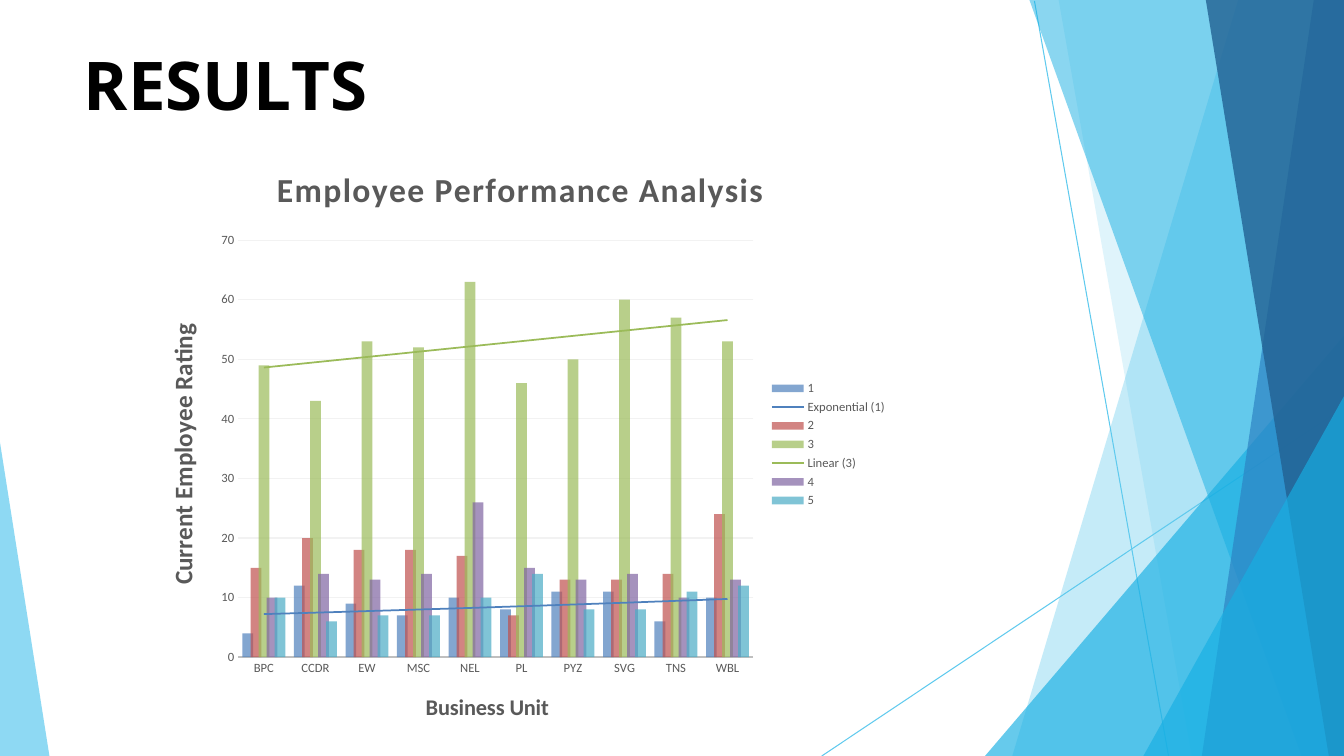
"""Build the results slide with its faceted backdrop and performance chart."""
import dataclasses
import typing

import lxml.etree
import pptx
import pptx.chart.data
import pptx.dml.color
import pptx.enum.chart
import pptx.enum.shapes
import pptx.enum.text
import pptx.oxml
import pptx.oxml.ns
import pptx.util

Inches = pptx.util.Inches
Pt = pptx.util.Pt
qn = pptx.oxml.ns.qn

COLOURS = {
    "black": "000000", "white": "FFFFFF", "text": "595959",
    "axis": "BFBFBF", "grid": "F2F2F2",
    "sky": "5FCAEE", "cyan": "17AFE3", "blue": "2D83C3", "navy": "226192",
    "bar blue": "4F81BD", "bar red": "C0504D", "bar green": "9BBB59",
    "bar purple": "8064A2", "bar teal": "4BACC6",
}
WIDTH, HEIGHT = 13.33, 7.5
UNITS = ("BPC", "CCDR", "EW", "MSC", "NEL", "PL", "PYZ", "SVG", "TNS", "WBL")
PLOT_AREA = {"x": 0.126, "y": 0.161, "w": 0.683, "h": 0.692}
Point = tuple[float, float]


@dataclasses.dataclass(frozen=True)
class Facet:
    """A translucent polygon of the backdrop."""
    colour: str
    opacity: int
    points: tuple[Point, ...]


@dataclasses.dataclass(frozen=True)
class Rating:
    """One rating's employee counts by business unit."""
    name: str
    colour: str
    counts: tuple[int, ...]
    trend: str = ""


@dataclasses.dataclass(frozen=True)
class Span:
    """A piece of the title with its letter spacing in points."""
    text: str
    spacing: float = 0


def right_facet(colour: str, opacity: int, top: Point, foot: float) -> Facet:
    """Describe a facet that fills the slide's bottom right corner."""
    corners = ((WIDTH, 0), top) if top[1] == 0 else (top,)
    return Facet(colour, opacity, (*corners, (foot, HEIGHT), (WIDTH, HEIGHT)))


LINES = (((10.26, 0.01), (11.59, HEIGHT)), ((WIDTH, 4.04), (8.15, HEIGHT)))
FACETS = (
    right_facet("sky", 36, (12.28, 0), 10.04),
    right_facet("sky", 20, (10.5, 0), 11.82),
    right_facet("cyan", 66, (WIDTH, 3.33), 9.77),
    right_facet("cyan", 50, (10.21, 0), 12.91),
    right_facet("blue", 70, (13.03, 0), 11.92),
    right_facet("navy", 80, (11.96, 0), 13.18),
    right_facet("cyan", 66, (WIDTH, 3.93), 11.34),
    Facet("sky", 70, ((0, 4.39), (0, HEIGHT), (0.49, HEIGHT))),
)
RATINGS = (
    Rating("1", "bar blue", (4, 12, 9, 7, 10, 8, 11, 11, 6, 10), "exp"),
    Rating("2", "bar red", (15, 20, 18, 18, 17, 7, 13, 13, 14, 24)),
    Rating("3", "bar green", (49, 43, 53, 52, 63, 46, 50, 60, 57, 53), "linear"),
    Rating("4", "bar purple", (10, 14, 13, 14, 26, 15, 13, 14, 10, 13)),
    Rating("5", "bar teal", (10, 6, 7, 7, 10, 14, 8, 8, 11, 12)),
)
HEADING = (Span("R"), Span("E", -0.4), Span("S", 0.1), Span("U", -0.3),
           Span("L", -4), Span("TS"))


def rgb(colour: str) -> pptx.dml.color.RGBColor:
    """Look up a named colour."""
    return pptx.dml.color.RGBColor.from_string(COLOURS[colour])


def assign(target: typing.Any, **values: typing.Any) -> None:
    """Set attributes from format values."""
    for name, value in values.items():
        setattr(target, name, value)


def set_font(font: typing.Any, size: float, colour: str, bold: bool = False,
             name: str = "Calibri") -> None:
    """Format a font."""
    assign(font, size=Pt(size), bold=bold, name=name)
    font.color.rgb = rgb(colour)


def set_line(line: typing.Any, colour: str, width: float) -> None:
    """Format a line."""
    line.color.rgb = rgb(colour)
    line.width = Pt(width)


def set_fill(fill: typing.Any, colour: str, opacity: int) -> None:
    """Apply a translucent solid fill."""
    fill.solid()
    fill.fore_color.rgb = rgb(colour)
    tint = next(fill._xPr.iter(qn("a:srgbClr")))
    lxml.etree.SubElement(tint, qn("a:alpha")).set("val", str(opacity * 1000))


def add_line(page: typing.Any, start: Point, end: Point) -> None:
    """Draw a thin backdrop line."""
    line = page.shapes.add_connector(
        pptx.enum.shapes.MSO_CONNECTOR.STRAIGHT, *map(Inches, start + end))
    set_line(line.line, "sky", 0.75)
    lxml.etree.SubElement(line._element.spPr, qn("a:effectLst"))


def add_facet(page: typing.Any, facet: Facet) -> None:
    """Draw a backdrop polygon."""
    points = [(Inches(x), Inches(y)) for x, y in facet.points]
    builder = page.shapes.build_freeform(*points[0])
    builder.add_line_segments(points[1:], close=True)
    shape = builder.convert_to_shape()
    shape.shadow.inherit = False
    set_fill(shape.fill, facet.colour, facet.opacity)
    shape.line.fill.background()


def format_heading(page: typing.Any) -> None:
    """Fill the title and lift it above the backdrop."""
    box = page.shapes.title
    assign(box, left=Inches(0.83), top=Inches(0.42),
           width=Inches(11.68), height=Inches(0.81))
    assign(box.text_frame, margin_left=0, margin_top=0, margin_right=0,
           margin_bottom=0, word_wrap=True,
           auto_size=pptx.enum.text.MSO_AUTO_SIZE.NONE,
           vertical_anchor=pptx.enum.text.MSO_ANCHOR.MIDDLE)
    para = box.text_frame.paragraphs[0]
    para.alignment = pptx.enum.text.PP_ALIGN.LEFT
    for span in HEADING:
        run = para.add_run()
        run.text = span.text
        set_font(run.font, 48, "black", True, "Open Sans")
        run.font._element.set("spc", str(round(span.spacing * 100)))
    page.shapes._spTree.append(box._element)


def set_caption(owner: typing.Any, text: str, size: float, spacing: int = 0) -> None:
    """Caption a chart or an axis."""
    frame = owner.text_frame
    frame.text = text
    font = frame.paragraphs[0].runs[0].font
    set_font(font, size, "text", True)
    font._element.set("spc", str(spacing))


def add_trend(series: typing.Any, rating: Rating) -> None:
    """Add a trend line to a series."""
    trend = pptx.oxml.parse_xml(
        f'<c:trendline {pptx.oxml.ns.nsdecls("c", "a")}><c:spPr><a:ln w="{Pt(1.25)}">'
        f'<a:solidFill><a:srgbClr val="{COLOURS[rating.colour]}"/></a:solidFill>'
        f'</a:ln></c:spPr><c:trendlineType val="{rating.trend}"/>'
        '<c:dispRSqr val="0"/><c:dispEq val="0"/></c:trendline>')
    series._element.find(qn("c:cat")).addprevious(trend)


def place_plot(chart: typing.Any) -> None:
    """Fix the inner plot area as fractions of the chart."""
    area = chart._chartSpace.chart.plotArea
    for old in area.findall(qn("c:layout")):
        area.remove(old)
    layout = lxml.etree.Element(qn("c:layout"))
    manual = lxml.etree.SubElement(layout, qn("c:manualLayout"))
    settings = {"layoutTarget": "inner", "xMode": "edge", "yMode": "edge"} | PLOT_AREA
    for name, value in settings.items():
        lxml.etree.SubElement(manual, qn(f"c:{name}")).set("val", str(value))
    area.insert(0, layout)


def add_rating_chart(page: typing.Any) -> None:
    """Draw the clustered columns with their trend lines."""
    data = pptx.chart.data.CategoryChartData()
    data.categories = UNITS
    for rating in RATINGS:
        data.add_series(rating.name, rating.counts)
    chart = page.shapes.add_chart(
        pptx.enum.chart.XL_CHART_TYPE.COLUMN_CLUSTERED,
        *map(Inches, (1.42, 1.42, 7.48, 5.98)), data).chart
    set_font(chart.font, 10, "black")
    set_caption(chart.chart_title, "Employee Performance Analysis", 24, 100)
    chart.has_legend = True
    assign(chart.legend, include_in_layout=False,
           position=pptx.enum.chart.XL_LEGEND_POSITION.RIGHT)
    set_font(chart.legend.font, 9, "text")
    plot = chart.plots[0]
    assign(plot, gap_width=80, overlap=25, vary_by_categories=False)
    for series, rating in zip(plot.series, RATINGS):
        set_fill(series.format.fill, rating.colour, 70)
        series.invert_if_negative = False
        if rating.trend:
            add_trend(series, rating)
    units, counts = chart.category_axis, chart.value_axis
    for axis, caption, size in ((units, "Business Unit", 16),
                                (counts, "Current Employee Rating", 18)):
        axis.major_tick_mark = pptx.enum.chart.XL_TICK_MARK.NONE
        set_font(axis.tick_labels.font, 9, "text")
        set_caption(axis.axis_title, caption, size)
    set_line(units.format.line, "axis", 1.25)
    assign(counts, minimum_scale=0, maximum_scale=70, major_unit=10)
    counts.format.line.fill.background()
    set_line(counts.major_gridlines.format.line, "grid", 0.75)
    place_plot(chart)


def main() -> None:
    """Build and save the deck."""
    deck = pptx.Presentation()
    assign(deck, slide_width=Inches(WIDTH), slide_height=Inches(HEIGHT))
    page = deck.slides.add_slide(deck.slide_layouts[5])
    page.background.fill.solid()
    page.background.fill.fore_color.rgb = rgb("white")
    for start, end in LINES:
        add_line(page, start, end)
    for facet in FACETS:
        add_facet(page, facet)
    format_heading(page)
    add_rating_chart(page)
    deck.save("out.pptx")


if __name__ == "__main__":
    main()
